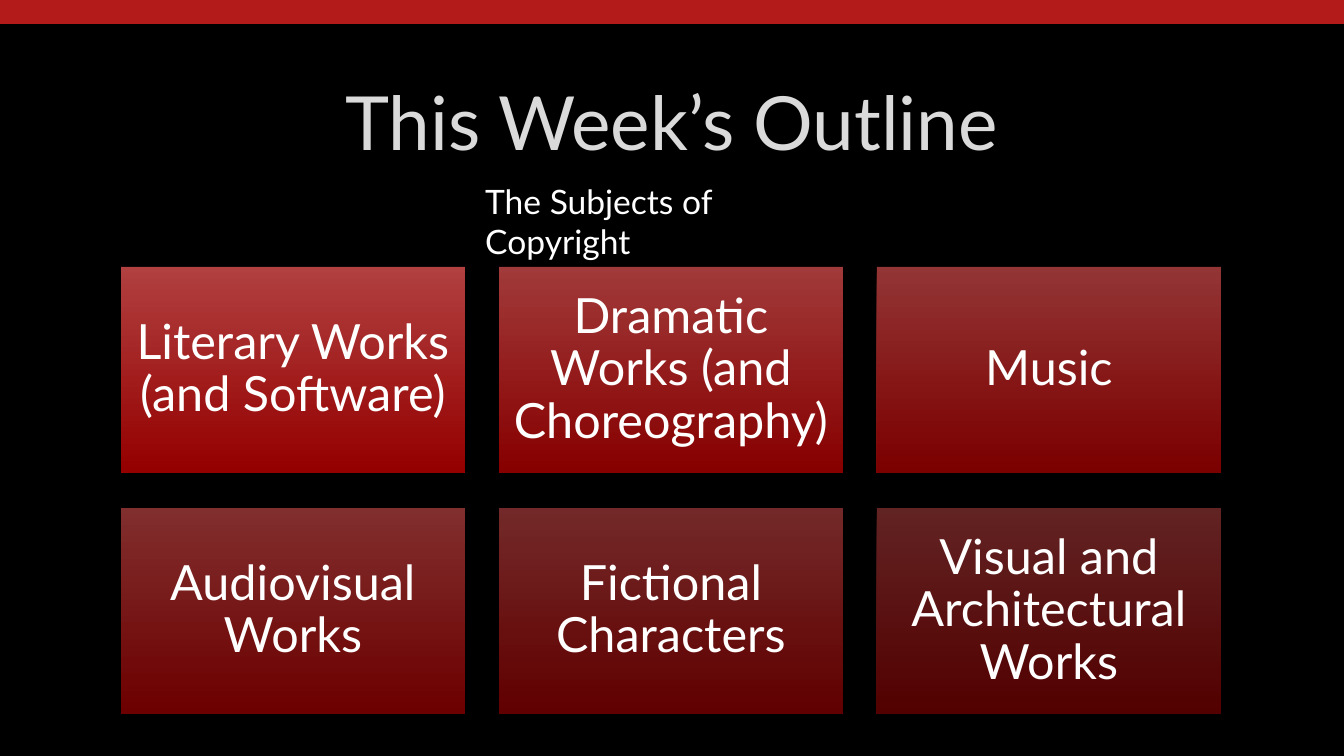
from lxml import etree
from pptx import Presentation
from pptx import util as u
from pptx.dml.color import RGBColor
from pptx.enum import shapes, text
from pptx.oxml import ns

SCALE = 914400 / 134.4
FONT = "Lato"
BLACK = RGBColor(0x00, 0x00, 0x00)
WHITE = RGBColor(0xFF, 0xFF, 0xFF)
SILVER = RGBColor(0xDA, 0xDA, 0xDA)
RED = RGBColor(0xB3, 0x1B, 0x1B)
ROSE = RGBColor(0xC5, 0x47, 0x47)
DEEP = RGBColor(0xA5, 0x00, 0x00)

TOPICS = [
    "Literary Works (and Software)",
    "Dramatic Works (and Choreography)",
    "Music",
    "Audiovisual Works",
    "Fictional Characters",
    "Visual and Architectural Works",
]
COLS = 3
LEFT, TOP = 121, 267
WIDTH, HEIGHT = 344, 206
STEP_X, STEP_Y = 378, 241
INSET = 13


def px(n):
    return u.Emu(round(n * SCALE))


def place(shape, x, y, w, h):
    shape.left, shape.top = px(x), px(y)
    shape.width, shape.height = px(w), px(h)


def write(shape, words, size, color, align, anchor):
    frame = shape.text_frame
    frame.word_wrap = True
    frame.auto_size = text.MSO_AUTO_SIZE.NONE
    frame.vertical_anchor = anchor
    para = frame.paragraphs[0]
    para.alignment = align
    run = para.add_run()
    run.text = words
    run.font.name = FONT
    run.font.size = u.Pt(size)
    run.font.color.rgb = color
    return frame


def add_rect(slide, x, y, w, h):
    rect = slide.shapes.add_shape(
        shapes.MSO_SHAPE.RECTANGLE, px(x), px(y), px(w), px(h))
    rect.shadow.inherit = False
    rect.line.fill.background()
    return rect


def fade(shape, alpha):
    """Fill with a top-down red gradient at alpha percent opacity."""
    fill = shape.fill
    fill.gradient()
    fill.gradient_angle = 270
    for stop, color in zip(fill.gradient_stops, (ROSE, DEEP)):
        stop.color.rgb = color
    for node in shape.element.spPr.iter(ns.qn("a:srgbClr")):
        etree.SubElement(node, ns.qn("a:alpha"), val=str(alpha * 1000))


def add_card(slide, i, topic):
    row, col = divmod(i, COLS)
    card = add_rect(slide, LEFT + col * STEP_X, TOP + row * STEP_Y,
                    WIDTH, HEIGHT)
    fade(card, 90 - 8 * i)
    frame = write(card, topic, 26, WHITE, text.PP_ALIGN.CENTER,
                  text.MSO_ANCHOR.MIDDLE)
    frame.margin_left = frame.margin_right = px(INSET)
    frame.margin_top = frame.margin_bottom = px(INSET)
    frame.paragraphs[0].line_spacing = 0.9


def main():
    deck = Presentation()
    deck.slide_width, deck.slide_height = px(1344), px(756)
    slide = deck.slides.add_slide(deck.slide_layouts[5])
    back = slide.background.fill
    back.solid()
    back.fore_color.rgb = BLACK

    band = add_rect(slide, 0, 0, 1344, 24)
    band.fill.solid()
    band.fill.fore_color.rgb = RED

    title = slide.shapes.title
    place(title, 101, 67, 1141, 108)
    write(title, "This Week’s Outline", 40, SILVER, text.PP_ALIGN.CENTER,
          text.MSO_ANCHOR.MIDDLE)

    for i, topic in enumerate(TOPICS):
        add_card(slide, i, topic)

    label = slide.shapes.add_textbox(px(472), px(174), px(399), px(54))
    write(label, "The Subjects of Copyright", 18, WHITE, text.PP_ALIGN.LEFT,
          text.MSO_ANCHOR.TOP)
    deck.save("out.pptx")


if __name__ == "__main__":
    main()
